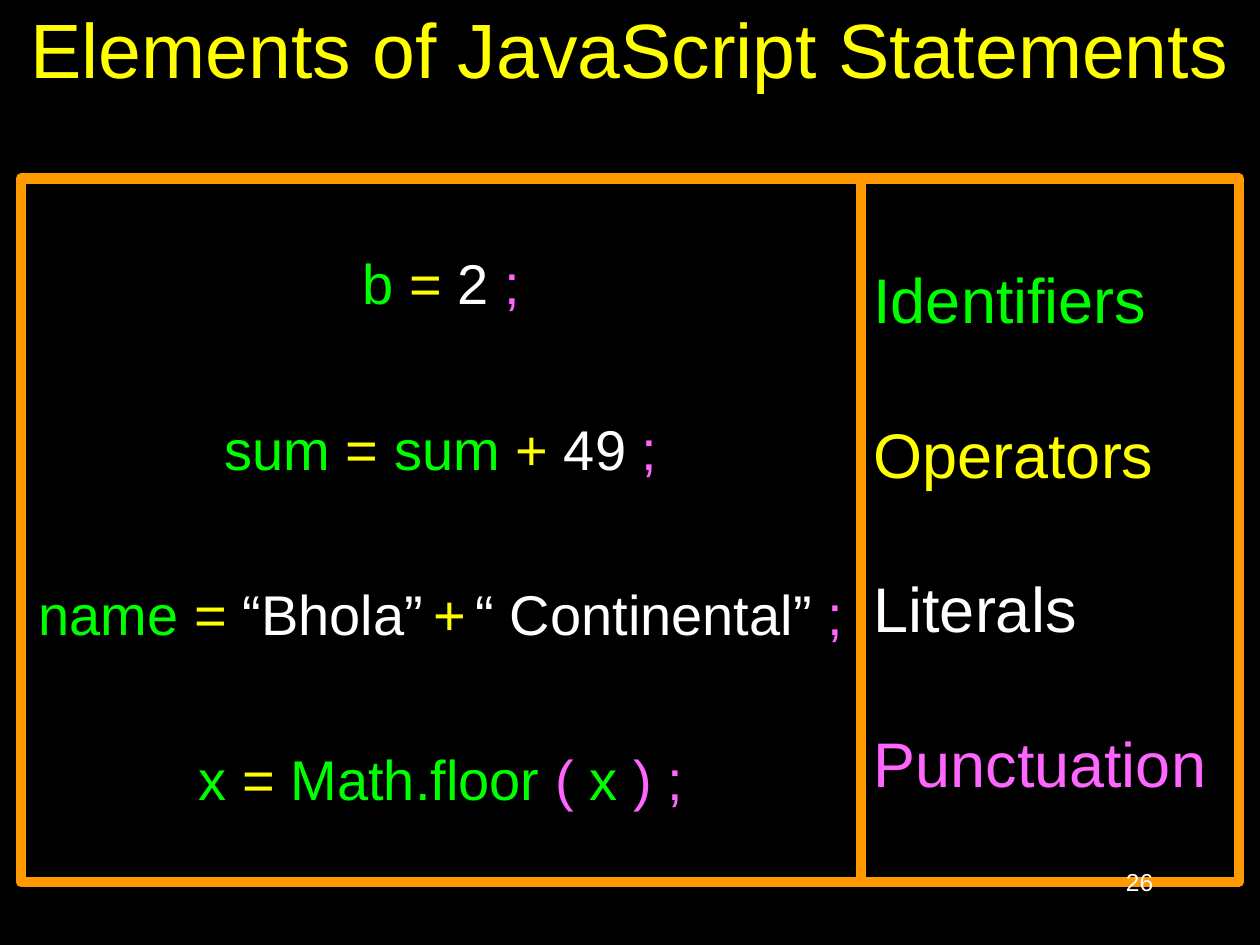
"""Build the slide on the elements of JavaScript statements."""
from lxml.etree import SubElement
from pptx import Presentation
from pptx.dml.color import RGBColor
from pptx.enum.shapes import MSO_SHAPE
from pptx.enum.text import MSO_ANCHOR, MSO_AUTO_SIZE, PP_ALIGN
from pptx.oxml.ns import qn
from pptx.util import Cm, Pt

BLACK = RGBColor(0x00, 0x00, 0x00)
ORANGE = RGBColor(0xFF, 0x99, 0x00)
IDENTIFIER = RGBColor(0x00, 0xFF, 0x00)
OPERATOR = RGBColor(0xFF, 0xFF, 0x00)
LITERAL = RGBColor(0xFF, 0xFF, 0xFF)
PUNCTUATION = RGBColor(0xFF, 0x66, 0xFF)

STATEMENTS = [
    [("b ", IDENTIFIER), ("=", OPERATOR), (" 2 ", LITERAL), (";", PUNCTUATION)],
    [("sum ", IDENTIFIER), ("= ", OPERATOR), ("sum ", IDENTIFIER),
     ("+", OPERATOR), (" 49 ", LITERAL), (";", PUNCTUATION)],
    [("name ", IDENTIFIER), ("=", OPERATOR), (" “Bhola”", LITERAL),
     (" ", LITERAL, 20), ("+", OPERATOR), (" ", LITERAL, 20),
     ("“ Continental” ", LITERAL), (";", PUNCTUATION)],
    [("x ", IDENTIFIER), ("= ", OPERATOR), ("Math.floor ", IDENTIFIER),
     ("( ", PUNCTUATION), ("x ", IDENTIFIER), (") ;", PUNCTUATION)],
]
LEGEND = [
    [("Identifiers", IDENTIFIER)],
    [("Operators", OPERATOR)],
    [("Literals", LITERAL)],
    [("Punctuation", PUNCTUATION)],
]


def write(frame, lines, size, align=PP_ALIGN.LEFT, gap=0,
          anchor=MSO_ANCHOR.MIDDLE, font="Arial"):
    frame.word_wrap = True
    frame.auto_size = MSO_AUTO_SIZE.NONE
    frame.vertical_anchor = anchor
    for index, line in enumerate(lines):
        paragraph = frame.add_paragraph() if index else frame.paragraphs[0]
        properties = paragraph._p.get_or_add_pPr()
        properties.set("marL", "0")
        properties.set("indent", "0")
        SubElement(properties, qn("a:buNone"))
        paragraph.alignment = align
        paragraph.space_before = Pt(gap if index else 0)
        for text, color, *own_size in line:
            run = paragraph.add_run()
            run.text = text
            run.font.name = font
            run.font.size = Pt(own_size[0] if own_size else size)
            run.font.color.rgb = color


class StatementSlide:
    border_color = ORANGE
    border_width = Pt(6)

    def __init__(self, presentation):
        self.slide = presentation.slides.add_slide(presentation.slide_layouts[1])
        fill = self.slide.background.fill
        fill.solid()
        fill.fore_color.rgb = BLACK

    def place(self, part, left, top, width, height):
        part.left, part.top = Cm(left), Cm(top)
        part.width, part.height = Cm(width), Cm(height)

    def frame(self, part):
        part.fill.background()
        part.line.color.rgb = self.border_color
        part.line.width = self.border_width

    def title(self, text, *box):
        heading = self.slide.shapes.title
        self.place(heading, *box)
        write(heading.text_frame, [[(text, OPERATOR)]], 44, align=PP_ALIGN.CENTER)

    def statements(self, lines, *box):
        body = self.slide.placeholders[1]
        self.place(body, *box)
        self.frame(body)
        write(body.text_frame, lines, 32, align=PP_ALIGN.CENTER, gap=56)

    def legend(self, lines, *box):
        panel = self.slide.shapes.add_shape(MSO_SHAPE.RECTANGLE, *map(Cm, box))
        panel.shadow.inherit = False
        self.frame(panel)
        write(panel.text_frame, lines, 36, gap=45)

    def page_number(self, text, *box):
        number = self.slide.shapes.add_textbox(*map(Cm, box))
        write(number.text_frame, [[(text, LITERAL)]], 14,
              align=PP_ALIGN.RIGHT, anchor=MSO_ANCHOR.TOP)


def main():
    presentation = Presentation()
    presentation.slide_width, presentation.slide_height = Cm(25.4), Cm(19.05)
    page = StatementSlide(presentation)
    page.title("Elements of JavaScript Statements", 0, -0.63, 25.4, 3.17)
    page.statements(STATEMENTS, 0.42, 3.6, 16.94, 14.18)
    page.legend(LEGEND, 17.36, 3.6, 7.62, 14.18)
    page.page_number("26", 18.2, 17.36, 5.3, 1.27)
    presentation.save("out.pptx")


if __name__ == "__main__":
    main()
